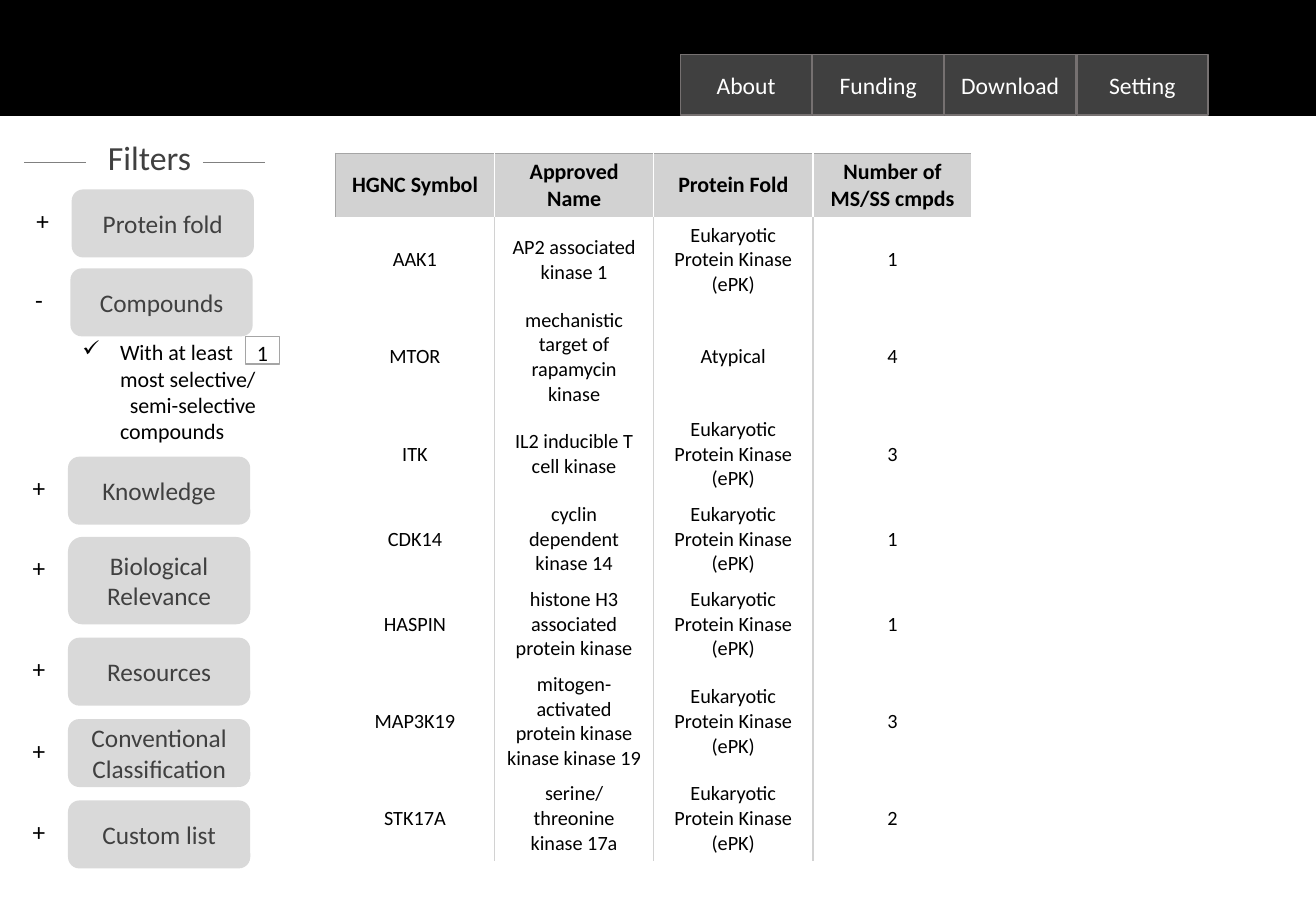
from dataclasses import dataclass
from typing import Any, NamedTuple, Optional

from lxml import etree
from pptx import Presentation
from pptx import util as u
from pptx.dml.color import RGBColor
from pptx.enum import shapes, text
from pptx.oxml import ns

# Grid: square cells, ten to the inch
COLUMNS, ROWS = 108.3, 75


@dataclass(frozen=True)
class Theme:
    font: str = "Calibri"
    black: str = "000000"
    white: str = "FFFFFF"
    dark: str = "404040"
    rule: str = "808080"
    tab_edge: str = "767171"
    edge: str = "A5A5A5"
    divider: str = "D2D2D2"
    button: str = "D9D9D9"
    title: int = 20
    label: int = 15
    tab: int = 14
    note: int = 13
    cell: int = 12


class Box(NamedTuple):
    left: float
    top: float
    width: float
    height: float


class Filter(NamedTuple):
    name: str
    left: float
    top: float
    height: float = 5.6
    sign: str = "+"


class Style(NamedTuple):
    size: int
    color: str
    bold: bool = False


class Border(NamedTuple):
    color: str
    points: float


THEME = Theme()
LABEL = Style(THEME.label, THEME.dark)
SIGN = Style(THEME.label, THEME.black)
NOTE = Style(THEME.note, THEME.black)

TABS = ["About", "Funding", "Download", "Setting"]
FILTERS = [
    Filter("Protein fold", 5.9, 15.6),
    Filter("Compounds", 5.8, 22.1, sign="-"),
    Filter("Knowledge", 5.6, 37.6),
    Filter("Biological Relevance", 5.6, 44.2, height=7.2),
    Filter("Resources", 5.6, 52.5),
    Filter("Conventional Classification", 5.6, 59.2),
    Filter("Custom list", 5.6, 65.9),
]
# Lines of the compounds note, with their indents
NOTE_LINES = [("With at least", 3.1), ("most selective/", 3.1),
              ("semi-selective", 3.9), ("compounds", 3.1)]
EPK = "Eukaryotic Protein Kinase (ePK)"
HEADER = ["HGNC Symbol", "Approved Name", "Protein Fold", "Number of MS/SS cmpds"]
KINASES = [
    ["AAK1", "AP2 associated kinase 1", EPK, "1"],
    ["MTOR", "mechanistic target of rapamycin kinase", "Atypical", "4"],
    ["ITK", "IL2 inducible T cell kinase", EPK, "3"],
    ["CDK14", "cyclin dependent kinase 14", EPK, "1"],
    ["HASPIN", "histone H3 associated protein kinase", EPK, "1"],
    ["MAP3K19", "mitogen-activated protein kinase kinase kinase 19", EPK, "3"],
    ["STK17A", "serine/threonine kinase 17a", EPK, "2"],
]
ROW_HEIGHTS = [5.3, 7, 9, 7, 7, 7, 9, 7]


def grid(cells: float) -> u.Length:
    return u.Inches(cells / 10)


def place(box: Box) -> list[u.Length]:
    return [grid(value) for value in box]


def apply(target: Any, values: dict[str, Any]) -> None:
    for name, value in values.items():
        setattr(target, name, value)


def write(paragraph: Any, words: str, style: Style, align: Any = None) -> None:
    paragraph.alignment = align
    run = paragraph.add_run()
    run.text = words
    apply(run.font, {"name": THEME.font, "size": u.Pt(style.size), "bold": style.bold})
    run.font.color.rgb = RGBColor.from_string(style.color)


def add_block(parent: Any, kind: Any, box: Box, fill: Optional[str] = None,
              border: Optional[Border] = None, words: str = "",
              style: Style = LABEL) -> Any:
    block = parent.add_shape(kind, *place(box))
    block.shadow.inherit = False
    if fill:
        block.fill.solid()
        block.fill.fore_color.rgb = RGBColor.from_string(fill)
    else:
        block.fill.background()
    if border:
        block.line.color.rgb = RGBColor.from_string(border.color)
        block.line.width = u.Pt(border.points)
    else:
        block.line.fill.background()
    if words:
        apply(block.text_frame, {"word_wrap": True,
                                 "vertical_anchor": text.MSO_ANCHOR.MIDDLE})
        write(block.text_frame.paragraphs[0], words, style, text.PP_ALIGN.CENTER)
    return block


def add_text(parent: Any, box: Box, words: str, style: Style) -> None:
    frame = parent.add_textbox(*place(box)).text_frame
    apply(frame, {"word_wrap": False, "auto_size": text.MSO_AUTO_SIZE.SHAPE_TO_FIT_TEXT})
    write(frame.paragraphs[0], words, style)


def add_rule(parent: Any, left: float, right: float, top: float) -> None:
    rule = parent.add_connector(shapes.MSO_CONNECTOR.STRAIGHT,
                                *place(Box(left, top, right, top)))
    rule.line.color.rgb = RGBColor.from_string(THEME.rule)
    rule.line.width = u.Pt(0.5)
    etree.SubElement(rule.element.spPr, ns.qn("a:effectLst"))


def add_note(parent: Any, box: Box) -> None:
    frame = parent.add_textbox(*place(box)).text_frame
    frame.word_wrap = True
    for index, (words, indent) in enumerate(NOTE_LINES):
        paragraph = frame.add_paragraph() if index else frame.paragraphs[0]
        write(paragraph, words, NOTE)
        properties = paragraph._p.get_or_add_pPr()
        properties.set("marL", str(grid(indent)))
        if index == 0:
            properties.set("indent", str(-grid(indent)))
            etree.SubElement(properties, ns.qn("a:buChar"), char="✓")


def set_borders(cell: Any, borders: dict[str, Border]) -> None:
    properties = cell._tc.get_or_add_tcPr()
    for side in "LRTB":
        line = etree.SubElement(properties, ns.qn(f"a:ln{side}"))
        if side in borders:
            line.set("w", str(u.Pt(borders[side].points)))
            fill = etree.SubElement(line, ns.qn("a:solidFill"))
            etree.SubElement(fill, ns.qn("a:srgbClr"), val=borders[side].color)
        else:
            etree.SubElement(line, ns.qn("a:noFill"))


def add_kinase_table(parent: Any, box: Box) -> None:
    rows = [HEADER, *KINASES]
    table = parent.add_table(len(rows), len(HEADER), *place(box)).table
    apply(table, {"first_row": False, "horz_banding": False})
    for column in table.columns:
        column.width = grid(box.width / len(HEADER))
    edge = Border(THEME.edge, 0.5)
    last = len(HEADER) - 1
    for r, (row, height) in enumerate(zip(rows, ROW_HEIGHTS)):
        table.rows[r].height = grid(height)
        heading = r == 0
        divider = Border(THEME.white if heading else THEME.divider, 1)
        for c, words in enumerate(row):
            cell = table.cell(r, c)
            borders = {"T": edge} if heading else {}
            if c > 0:
                borders["L"] = divider
            elif heading:
                borders["L"] = edge
            if c < last or heading:
                borders["R"] = divider
            set_borders(cell, borders)
            if heading:
                cell.fill.solid()
                cell.fill.fore_color.rgb = RGBColor.from_string(THEME.divider)
            else:
                cell.fill.background()
            apply(cell, {"vertical_anchor": text.MSO_ANCHOR.MIDDLE,
                         "margin_left": grid(0.9), "margin_right": grid(0.9),
                         "margin_top": grid(0.45), "margin_bottom": grid(0.45)})
            style = Style(THEME.note if heading else THEME.cell, THEME.black, heading)
            write(cell.text_frame.paragraphs[0], words, style, text.PP_ALIGN.CENTER)


def main() -> None:
    deck = Presentation()
    apply(deck, {"slide_width": grid(COLUMNS), "slide_height": grid(ROWS)})
    page = deck.slides.add_slide(deck.slide_layouts[6]).shapes
    rectangle = shapes.MSO_SHAPE.RECTANGLE

    # Top bar and its tabs
    add_block(page, rectangle, Box(0, 0.1, COLUMNS, 9.4), THEME.black, Border(THEME.black, 1))
    for index, name in enumerate(TABS):
        add_block(page, rectangle, Box(56 + 10.87 * index, 4.5, 10.8, 5), THEME.dark,
                  Border(THEME.tab_edge, 1), name, Style(THEME.tab, THEME.white))

    # Filters heading between two rules
    heading = page.add_group_shape().shapes
    add_rule(heading, 2, 7.1, 13.4)
    add_text(heading, Box(7.9, 10.8, 9, 4.4), "Filters", Style(THEME.title, THEME.dark))
    add_rule(heading, 16.7, 21.8, 13.4)

    # Filter buttons with their open or close signs
    for item in FILTERS:
        add_block(page, shapes.MSO_SHAPE.ROUNDED_RECTANGLE,
                  Box(item.left, item.top, 15, item.height), THEME.button, words=item.name)
        add_text(page, Box(item.left - 3.9, item.top + 0.8, 3.1, 3.5), item.sign, SIGN)

    # Compounds note and its count field
    add_note(page, Box(5.8, 27.4, 19.6, 9.8))
    count = add_block(page, rectangle, Box(20.2, 27.7, 2.8, 2.3),
                      border=Border(THEME.edge, 1), words="1", style=NOTE)
    apply(count.text_frame, {"margin_left": 0, "margin_right": 0,
                             "margin_top": grid(0.4), "margin_bottom": 0})

    # Kinase table
    add_kinase_table(page, Box(27.6, 12.6, 52.4, sum(ROW_HEIGHTS)))

    deck.save("out.pptx")


if __name__ == "__main__":
    main()
